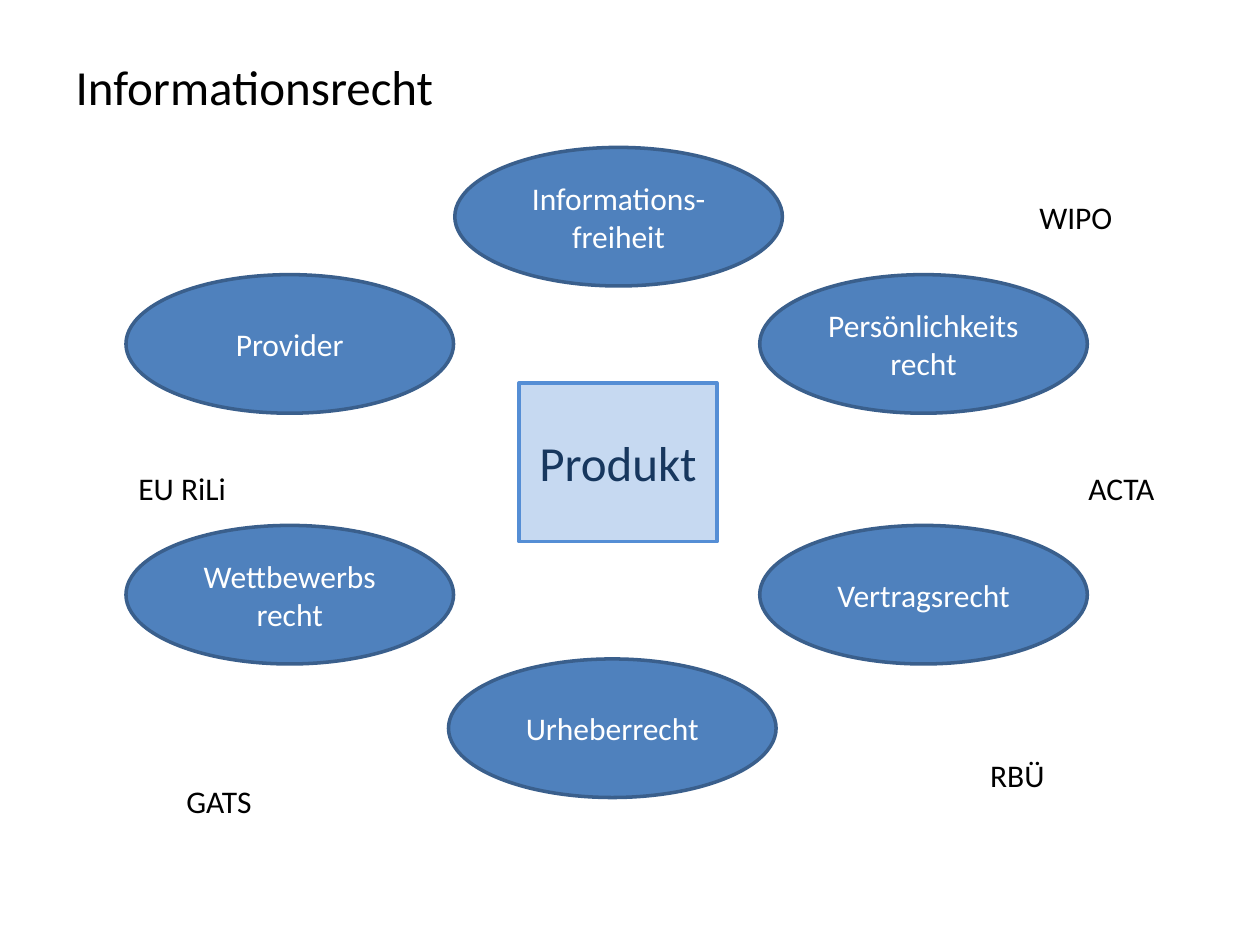
import pptx
import pptx.util
import pptx.dml.color
import pptx.enum.shapes
import pptx.enum.text

Inches = pptx.util.Inches
RGBColor = pptx.dml.color.RGBColor
Shape = pptx.enum.shapes.MSO_SHAPE
Align = pptx.enum.text.PP_ALIGN
Anchor = pptx.enum.text.MSO_ANCHOR

BLACK = RGBColor(0x00, 0x00, 0x00)
WHITE = RGBColor(0xFF, 0xFF, 0xFF)
BLUE = RGBColor(0x4F, 0x81, 0xBD)
BLUE_EDGE = RGBColor(0x3A, 0x5F, 0x8C)
PALE = RGBColor(0xC6, 0xD9, 0xF1)
PALE_EDGE = RGBColor(0x55, 0x8E, 0xD5)
NAVY = RGBColor(0x17, 0x37, 0x5E)


class Diagram:
    """Holds the text style and the current slide of the diagram."""

    font = "Calibri"
    large = 28
    normal = 18

    def __init__(self, deck):
        self.page = deck.slides.add_slide(deck.slide_layouts[5])

    def set_text(self, frame, text, size, color, align, anchor):
        frame.text = text
        frame.vertical_anchor = anchor
        for para in frame.paragraphs:
            para.alignment = align
            for span in para.runs:
                span.font.name = self.font
                span.font.size = pptx.util.Pt(size)
                span.font.color.rgb = color

    def title(self, text, left, top, width, height):
        box = self.page.shapes.title
        box.left, box.top = Inches(left), Inches(top)
        box.width, box.height = Inches(width), Inches(height)
        self.set_text(box.text_frame, text, self.large, BLACK, Align.LEFT, Anchor.MIDDLE)

    def shape(self, kind, text, area, fill, edge, size, color):
        box = self.page.shapes.add_shape(kind, *map(Inches, area))
        box.shadow.inherit = False
        box.fill.solid()
        box.fill.fore_color.rgb = fill
        box.line.color.rgb = edge
        box.line.width = pptx.util.Pt(2)
        box.text_frame.word_wrap = True
        self.set_text(box.text_frame, text, size, color, Align.CENTER, Anchor.MIDDLE)

    def product(self, text, left, top, width, height):
        self.shape(Shape.RECTANGLE, text, (left, top, width, height),
                   PALE, PALE_EDGE, self.large, NAVY)

    def field(self, text, left, top):
        self.shape(Shape.OVAL, text, (left, top, 2.6, 1.1),
                   BLUE, BLUE_EDGE, self.normal, WHITE)

    def label(self, text, left, top, width):
        box = self.page.shapes.add_textbox(*map(Inches, (left, top, width, 0.4)))
        box.text_frame.word_wrap = False
        box.text_frame.auto_size = pptx.enum.text.MSO_AUTO_SIZE.SHAPE_TO_FIT_TEXT
        self.set_text(box.text_frame, text, self.normal, BLACK, Align.LEFT, Anchor.TOP)


LEFT, RIGHT = 1, 6.03
UPPER, LOWER = 2.18, 4.17

FIELDS = [
    ("Vertragsrecht", RIGHT, LOWER),
    ("Urheberrecht", 3.56, 5.23),
    ("Informations-freiheit", 3.61, 1.17),
    ("Provider", LEFT, UPPER),
    ("Wettbewerbs\nrecht", LEFT, LOWER),
    ("Persönlichkeits\nrecht", RIGHT, UPPER),
]

LABELS = [
    ("WIPO", 8.15, 1.52, 0.79),
    ("ACTA", 8.54, 3.67, 0.73),
    ("RBÜ", 7.76, 5.95, 0.64),
    ("GATS", 1.38, 6.16, 0.72),
    ("EU RiLi", LEFT, 3.67, 0.9),
]

deck = pptx.Presentation()
deck.slide_width, deck.slide_height = Inches(10), Inches(7.5)

diagram = Diagram(deck)
diagram.title("Informationsrecht", 0.5, 0.3, 9, 0.77)
diagram.product("Produkt", 4.12, 3.04, 1.57, 1.26)
for field in FIELDS:
    diagram.field(*field)
for label in LABELS:
    diagram.label(*label)

deck.save("out.pptx")
